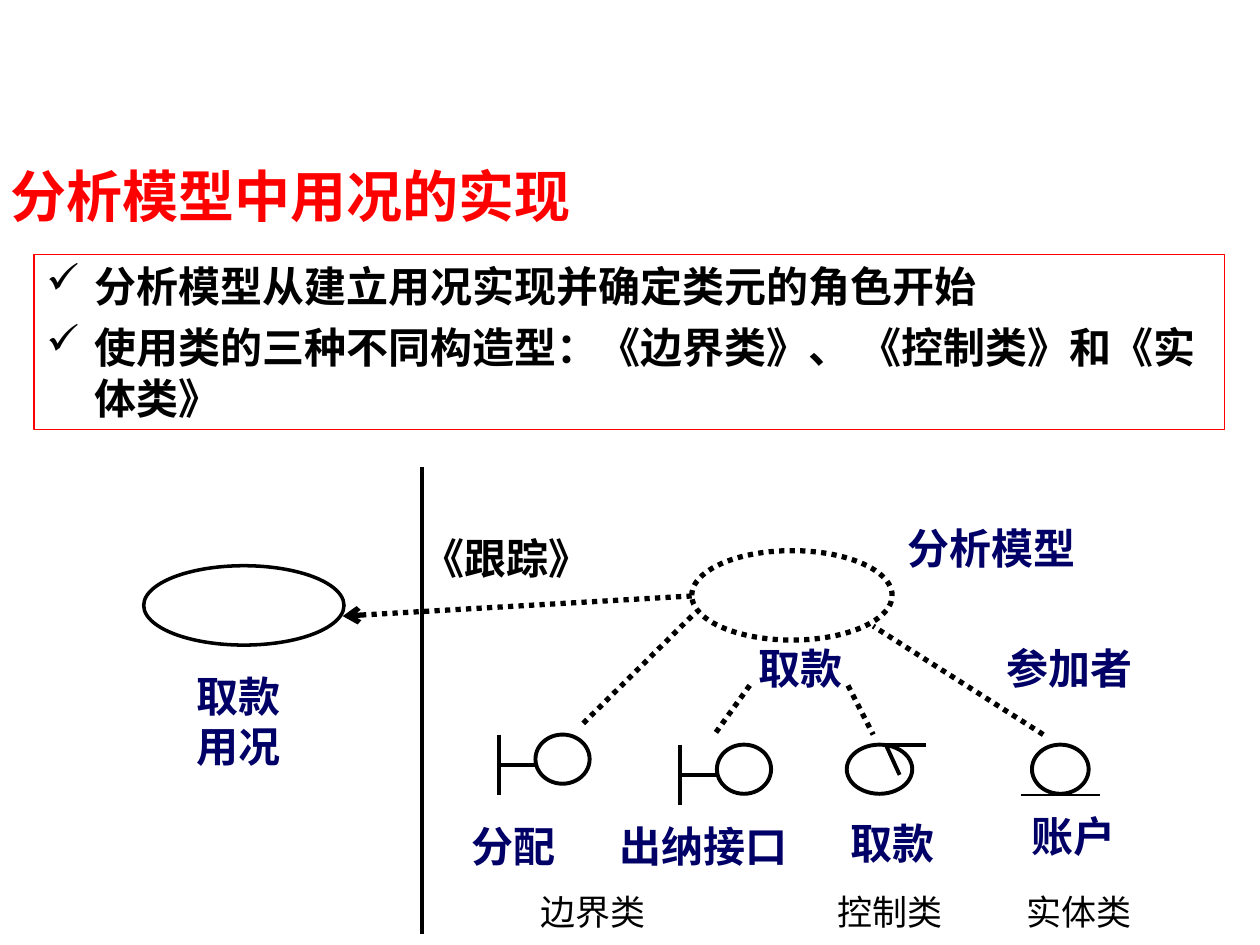
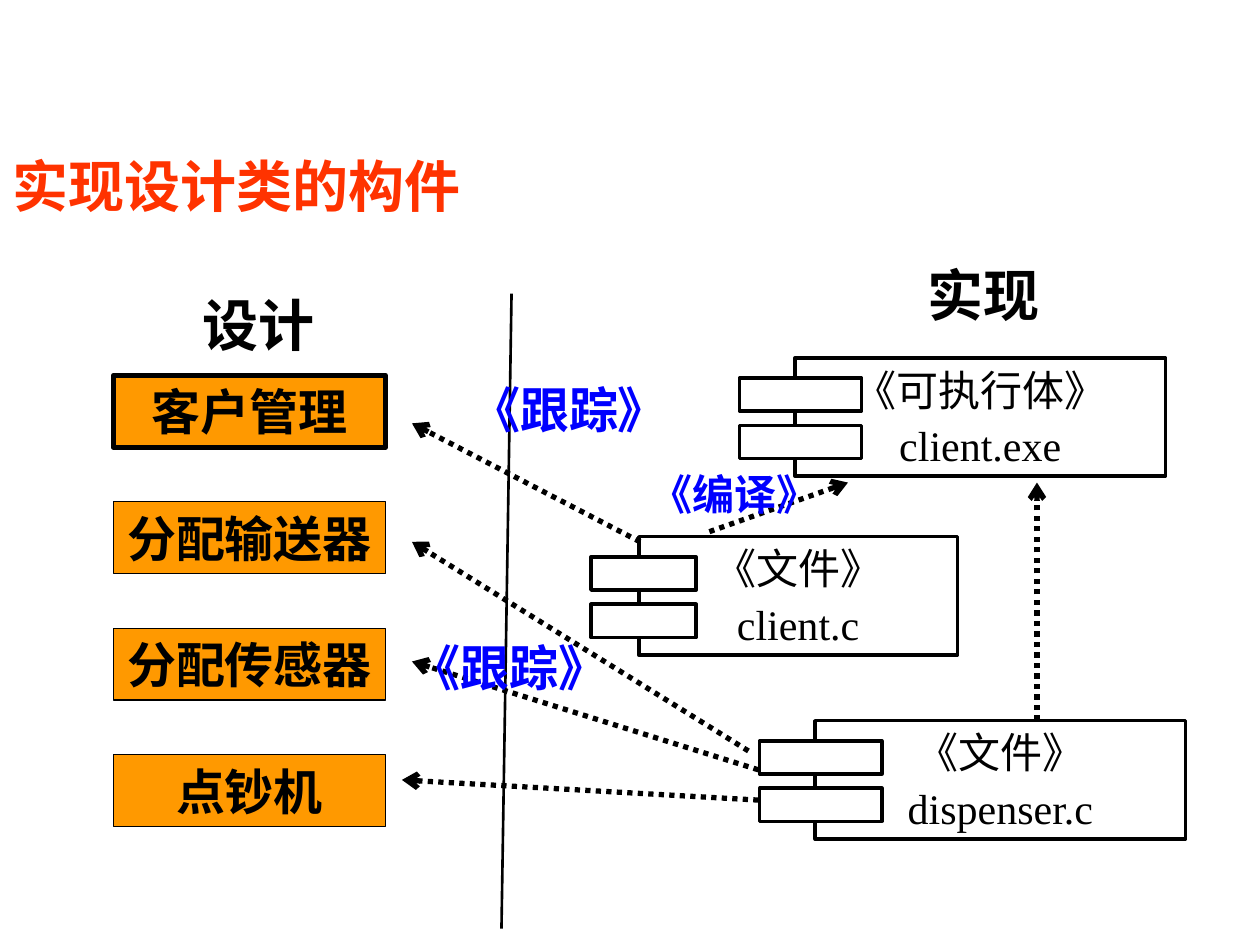
from dataclasses import dataclass

import pptx
import pptx.dml.color
import pptx.enum.dml
import pptx.enum.shapes
import pptx.enum.text
import pptx.oxml
import pptx.oxml.ns
import pptx.util

SHAPE = pptx.enum.shapes.MSO_SHAPE
ALIGN = pptx.enum.text.PP_ALIGN
ANCHOR = pptx.enum.text.MSO_ANCHOR
DOTTED = pptx.enum.dml.MSO_LINE.ROUND_DOT
qn = pptx.oxml.ns.qn

WIDTH, HEIGHT = pptx.util.Inches(10), pptx.util.Inches(7.5)
COLS, ROWS = 100, 75


@dataclass(frozen=True)
class Theme:
    # colours
    black: str = "000000"
    white: str = "FFFFFF"
    red: str = "FF0000"
    orange_red: str = "FF3300"
    navy: str = "000066"
    blue: str = "0000FF"
    orange: str = "FF9900"
    # fonts
    serif: str = "Times New Roman"
    sans: str = "Noto Sans CJK SC"
    comic: str = "Comic Neue"
    # type sizes
    heading: int = 32
    large: int = 28
    label: int = 24
    caption: int = 20
    # line widths
    thin: float = 0.75
    divider: float = 1.5
    outline: float = 2
    symbol: float = 2.25
    heavy: float = 3


T = Theme()


@dataclass(frozen=True)
class Box:
    """A region in grid columns and rows."""
    x: float
    y: float
    w: float
    h: float

    def sub(self, dx, dy, w, h):
        return Box(self.x + dx, self.y + dy, w, h)

    def emu(self):
        return (*grid_point(self.x, self.y), *grid_point(self.w, self.h))


def grid_point(x, y):
    return round(x * WIDTH / COLS), round(y * HEIGHT / ROWS)


def rgb(color):
    return pptx.dml.color.RGBColor.from_string(color)


# ---- basic parts ----

def style_runs(p, size, color, font, bold):
    for r in p.runs:
        r.font.size = pptx.util.Pt(size)
        r.font.bold = bold
        r.font.color.rgb = rgb(color)
        r.font.name = font
        ea = pptx.oxml.parse_xml(
            f'<a:ea {pptx.oxml.ns.nsdecls("a")} typeface="{T.sans}"/>')
        r.font._element.find(qn("a:latin")).addnext(ea)


def write(sp, lines, size, color=T.black, font=T.serif, bold=True,
          align=ALIGN.LEFT, anchor=ANCHOR.TOP, gap=0, inset=0):
    tf = sp.text_frame
    tf.word_wrap = True
    tf.vertical_anchor = anchor
    tf.margin_left = tf.margin_right = pptx.util.Inches(inset)
    tf.margin_top = tf.margin_bottom = pptx.util.Inches(0.05)
    tf.text = "\n".join(lines)
    for i, p in enumerate(tf.paragraphs):
        p.alignment = align
        if i:
            p.space_before = pptx.util.Pt(gap)
        style_runs(p, size, color, font, bold)
    return tf


def add_text(slide, box, text, size=T.label, color=T.navy, **style):
    sp = slide.shapes.add_textbox(*box.emu())
    write(sp, text.split("\n"), size, color, **style)


def add_outline(slide, kind, box, width=T.outline, color=T.black,
                fill=None, dash=None):
    sp = slide.shapes.add_shape(kind, *box.emu())
    sp.shadow.inherit = False
    if fill:
        sp.fill.solid()
        sp.fill.fore_color.rgb = rgb(fill)
    else:
        sp.fill.background()
    sp.line.color.rgb = rgb(color)
    sp.line.width = pptx.util.Pt(width)
    if dash:
        sp.line.dash_style = dash
    return sp


def add_line(slide, box, start, end, width=T.symbol, dash=None, arrow=False):
    (x1, y1), (x2, y2) = start, end
    line = slide.shapes.add_connector(
        pptx.enum.shapes.MSO_CONNECTOR.STRAIGHT,
        *grid_point(box.x + x1, box.y + y1),
        *grid_point(box.x + x2, box.y + y2))
    line.line.color.rgb = rgb(T.black)
    line.line.width = pptx.util.Pt(width)
    if dash:
        line.line.dash_style = dash
    if arrow:
        tail = line.line._get_or_add_ln().makeelement(
            qn("a:tailEnd"), {"type": "arrow"})
        line.line._get_or_add_ln().append(tail)
    sp_pr = line._element.spPr
    sp_pr.append(sp_pr.makeelement(qn("a:effectLst"), {}))


def add_dotted(slide, box, start, end, arrow=True):
    add_line(slide, box, start, end, T.heavy, DOTTED, arrow)


def add_title(slide, box, text, color, font):
    add_text(slide, box, text, T.heading, color, font=font)


# ---- analysis slide ----

def key_points(slide, box, points):
    sp = add_outline(slide, SHAPE.RECTANGLE, box, T.thin, T.red, T.white)
    tf = write(sp, points, T.label, font=T.sans, gap=6, inset=0.1)
    indent = pptx.util.Inches(0.38)
    for p in tf.paragraphs:
        p_pr = p._p.get_or_add_pPr()
        p_pr.set("marL", str(indent))
        p_pr.set("indent", str(-indent))
        p_pr.append(p_pr.makeelement(qn("a:buChar"), {"char": "✓"}))


def use_case(slide, box):
    add_outline(slide, SHAPE.OVAL, box)
    add_text(slide, box.sub(4.2, 7.8, 7.6, 9), "取款\n用况")


def boundary_class(slide, box):
    add_outline(slide, SHAPE.OVAL, box.sub(2.9, 0, 4.3, 3.9), T.symbol)
    add_line(slide, box, (0, 0), (0, box.h))
    add_line(slide, box, (2.9, box.h / 2), (0, box.h / 2))


def control_class(slide, box):
    add_outline(slide, SHAPE.OVAL, box, T.symbol)
    for tip in ((6.3, 0), (4.2, 2.4)):
        add_line(slide, box, (3.1, 0), tip)


def entity_class(slide, box):
    add_outline(slide, SHAPE.OVAL, box, T.symbol)
    add_line(slide, box, (-0.9, 4), (5.4, 4), T.thin)


def analysis_model(slide, box):
    add_outline(slide, SHAPE.OVAL, box.sub(21.4, 6.6, 15.9, 7.1),
                T.heavy, dash=DOTTED)
    add_line(slide, box, (0, 0), (0, box.h), T.outline)

    # participants
    boundary_class(slide, box.sub(6.1, 21.2, 7.2, 4.8))
    boundary_class(slide, box.sub(20.5, 22, 7.2, 4.8))
    control_class(slide, box.sub(33.7, 22, 5.2, 3.9))
    entity_class(slide, box.sub(48.4, 22, 4.5, 3.9))

    # links from the realization to its participants, then the trace
    for start, end in (((21.4, 11.8), (12.6, 20.5)),
                       ((49.3, 21.2), (35.8, 12.6)),
                       ((26, 17.3), (23.2, 21.2)),
                       ((33.8, 17.3), (35.8, 21.2))):
        add_dotted(slide, box, start, end, arrow=False)
    add_dotted(slide, box, (21.4, 10.2), (-6.3, 11.8))
    add_text(slide, box.sub(0, 4.7, 14.9, 5), "《跟踪》", color=T.black)

    # names
    for x, y, w, name in ((26.7, 13.4, 7.4, "取款"),
                          (3.9, 27.5, 8.9, "分配"),
                          (15.7, 27.5, 15.1, "出纳接口"),
                          (34, 27.3, 7.7, "取款"),
                          (48.4, 26.7, 7.5, "账户"),
                          (38.5, 3.9, 14.3, "分析模型"),
                          (46.4, 13.4, 11, "参加者")):
        add_text(slide, box.sub(x, y, w, 5), name)

    # kinds of class
    for x, kind in ((9.4, "边界类"), (33, "控制类"), (48, "实体类")):
        add_text(slide, box.sub(x, 33.1, 9.4, 4.4), kind, T.caption,
                 T.black, bold=False)


def analysis_slide(prs):
    slide = prs.slides.add_slide(prs.slide_layouts[6])
    use_case(slide, Box(11.4, 44.9, 15.9, 6.3))
    analysis_model(slide, Box(33.5, 37.1, 66.5, 37))
    add_title(slide, Box(0.8, 12.3, 56.3, 6.4), "分析模型中用况的实现",
              T.red, T.serif)
    key_points(slide, Box(2.7, 20.2, 94.5, 13.9),
               ["分析模型从建立用况实现并确定类元的角色开始",
                "使用类的三种不同构造型：《边界类》、 《控制类》和《实体类》"])


# ---- component slide ----

def component(slide, box, stereotype, file_name):
    body = add_outline(slide, SHAPE.RECTANGLE, box)
    write(body, [stereotype, file_name], T.label, bold=False,
          align=ALIGN.CENTER, anchor=ANCHOR.MIDDLE, gap=3)
    for share in (0.17, 0.57):
        tab = box.sub(-0.15 * box.w, share * box.h, 0.33 * box.w, 0.28 * box.h)
        add_outline(slide, SHAPE.RECTANGLE, tab, fill=T.white)


def design_classes(slide, box, names):
    for i, name in enumerate(names):
        sp = add_outline(slide, SHAPE.RECTANGLE,
                         box.sub(0, 7.2 + 10.03 * i, box.w, 5.7),
                         T.thin if i else T.heavy, fill=T.orange)
        write(sp, [name], T.large, font=T.comic if i else T.serif,
              align=ALIGN.CENTER, anchor=ANCHOR.MIDDLE)
    add_text(slide, box.sub(7.1, 0, 9.4, 6.4), "设计", T.heading, T.black,
             font=T.sans)


def implementation(slide, box):
    component(slide, box.sub(3.8, 22.4, 25.3, 9.4), "《文件》", "client.c")
    component(slide, box.sub(16.2, 8.2, 29.4, 9.4), "《可执行体》", "client.exe")
    component(slide, box.sub(17.8, 37, 29.4, 9.4), "《文件》", "dispenser.c")
    add_text(slide, box.sub(26.7, 0, 9.4, 6.4), "实现", T.heading, T.black,
             font=T.sans)
    # compile links
    add_dotted(slide, box, (35.4, 37), (35.4, 18.1))
    add_dotted(slide, box, (9.4, 22), (20.4, 18.1))
    add_text(slide, box.sub(4.7, 16.5, 15, 5), "《编译》", color=T.blue,
             font=T.comic)


def trace_links(slide, box):
    for start, end in (((18.9, 14.6), (0.8, 5.2)),
                       ((27.5, 31.2), (0.8, 14.6)),
                       ((28.3, 32.7), (0.8, 24.1)),
                       ((28.3, 35.1), (0, 33.5))):
        add_dotted(slide, box, start, end)
    for x, y in ((5.5, 1.2), (0.8, 21.7)):
        add_text(slide, box.sub(x, y, 16, 5.7), "《跟踪》", T.large, T.blue,
                 font=T.comic)


def component_slide(prs):
    slide = prs.slides.add_slide(prs.slide_layouts[6])
    add_title(slide, Box(1, 11.5, 42.7, 6.3), "实现设计类的构件",
              T.orange_red, T.sans)
    add_line(slide, Box(39.8, 23.3, 0.8, 50.4), (0.8, 0), (0, 50.4), T.divider)
    implementation(slide, Box(46.9, 20.2, 47.2, 46.4))
    design_classes(slide, Box(9, 22.6, 21.6, 43),
                   ["客户管理", "分配输送器", "分配传感器", "点钞机"])
    trace_links(slide, Box(31.9, 28.4, 28.3, 35.1))


def main():
    prs = pptx.Presentation()
    prs.slide_width, prs.slide_height = WIDTH, HEIGHT
    analysis_slide(prs)
    component_slide(prs)
    prs.save("out.pptx")


if __name__ == "__main__":
    main()
